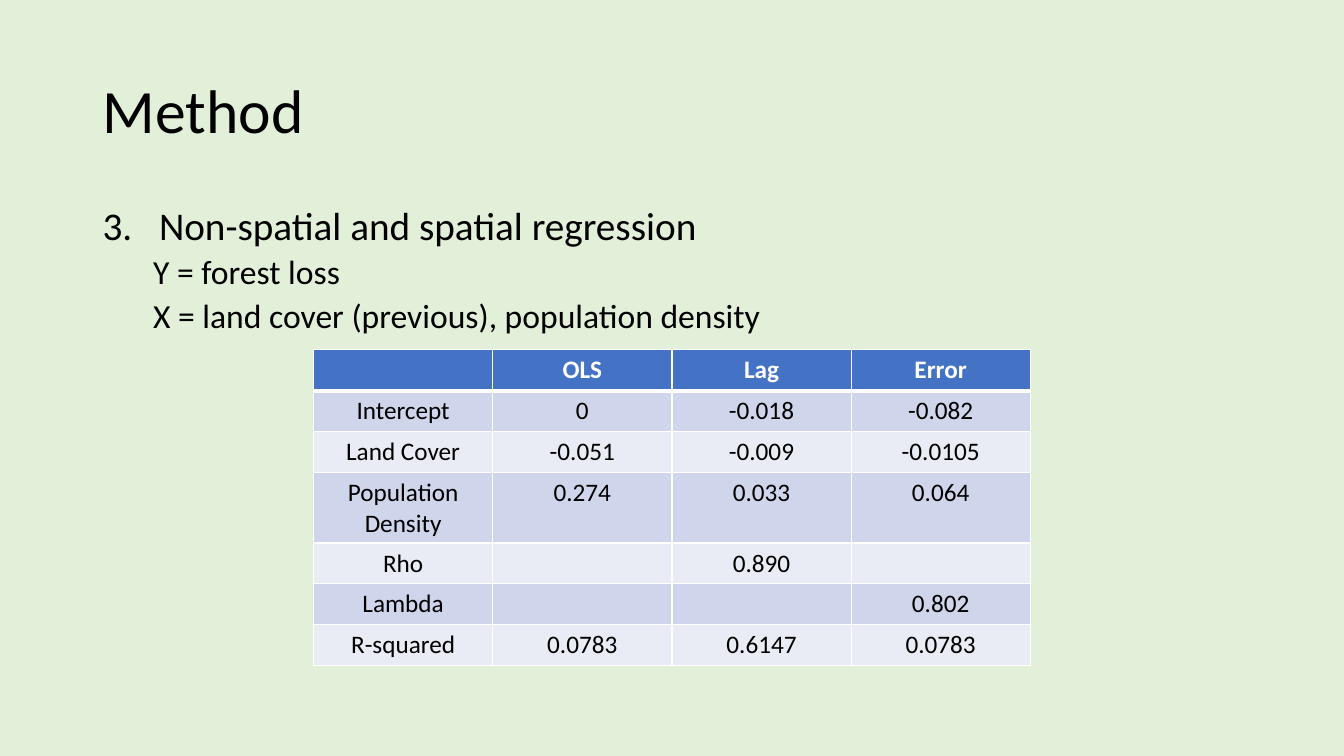
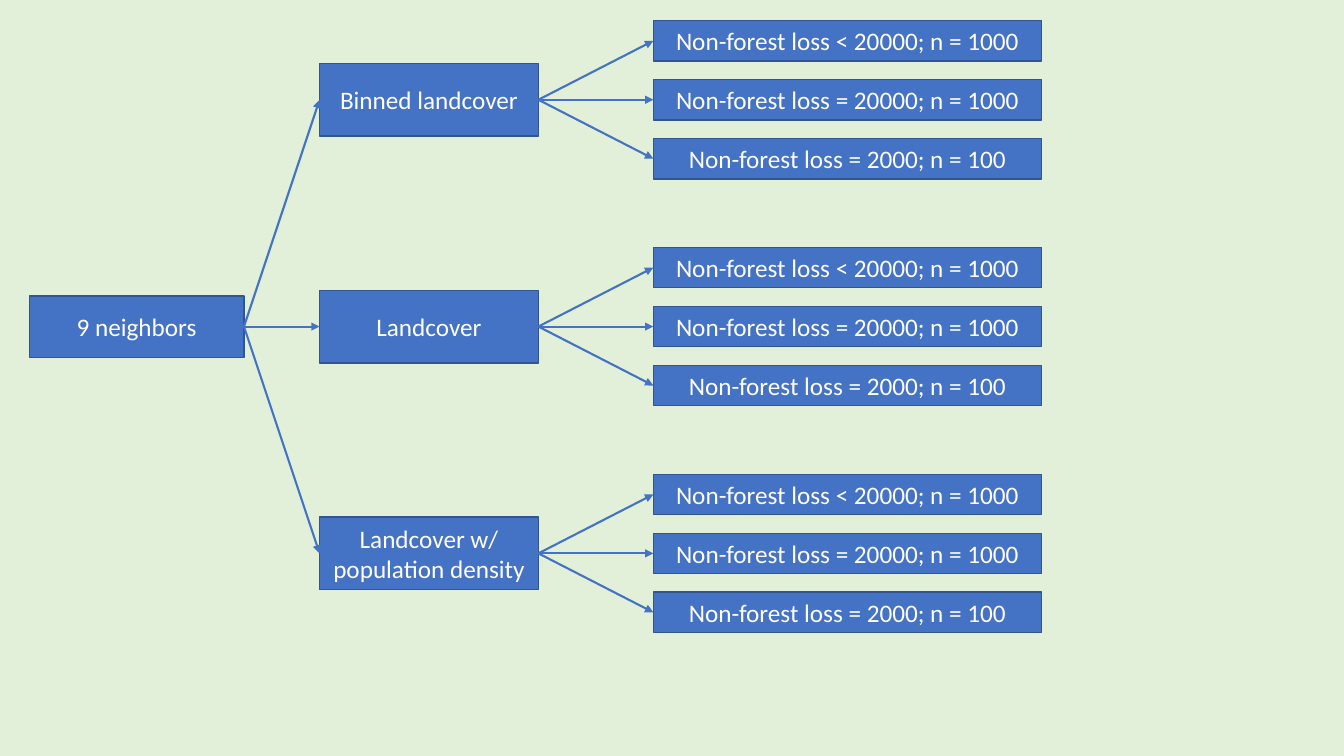
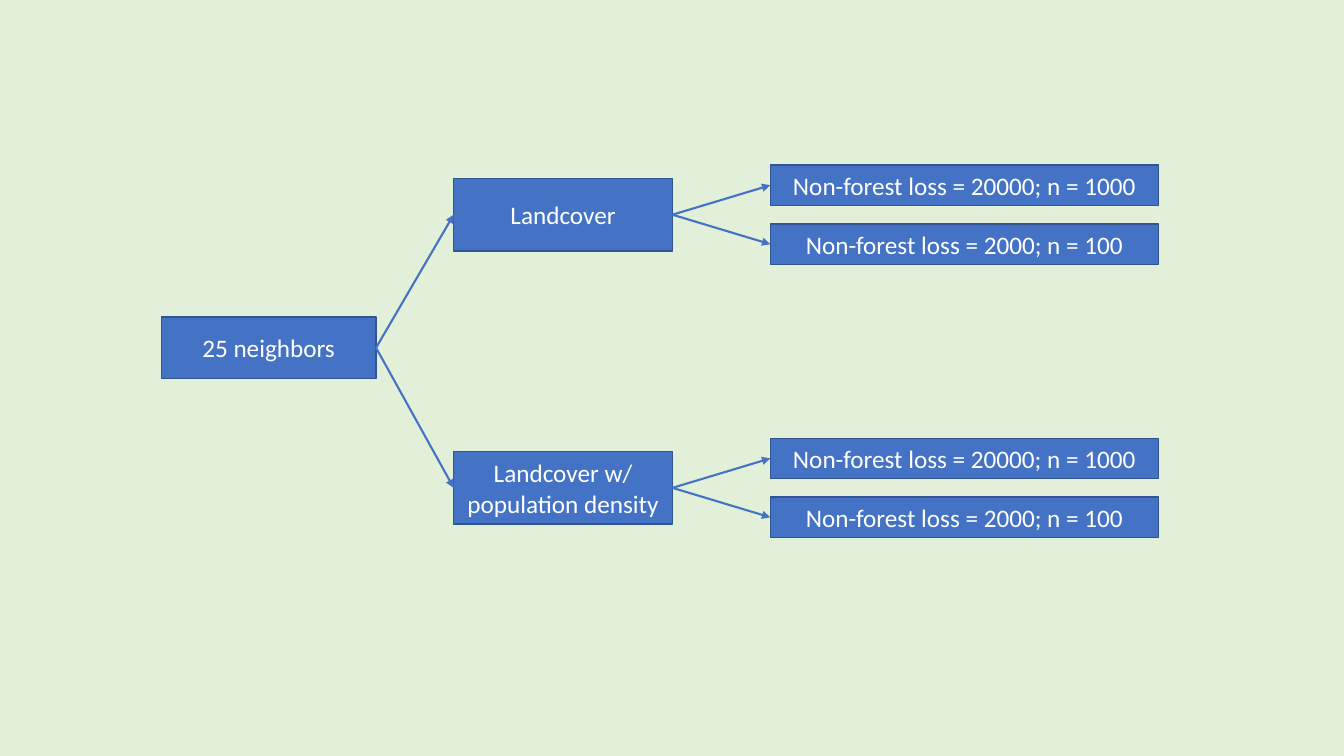
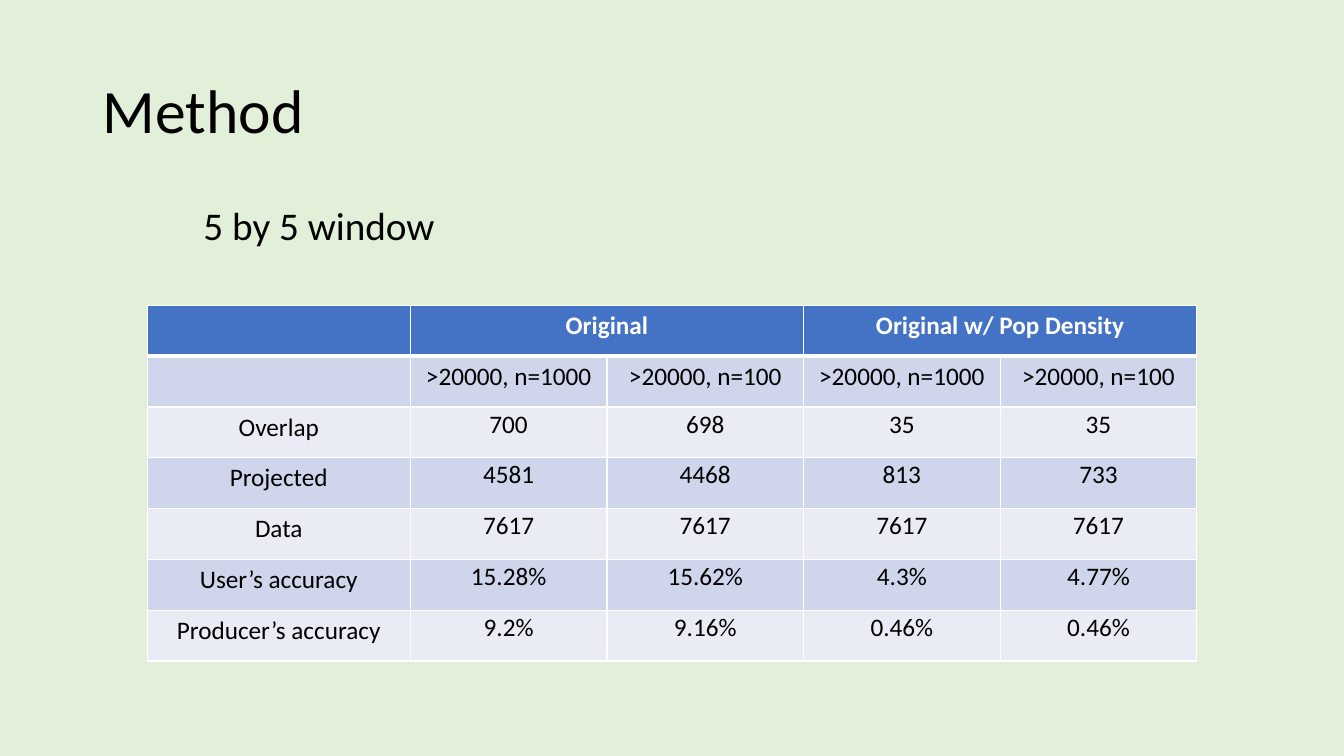
"""Build four method slides: two regression tables and two sampling trees."""
from dataclasses import dataclass

from lxml.etree import SubElement
from pptx import Presentation
from pptx.dml.color import RGBColor
from pptx.enum.shapes import MSO_CONNECTOR, MSO_SHAPE
from pptx.enum.text import MSO_ANCHOR, PP_ALIGN
from pptx.oxml.ns import qn
from pptx.shapes.autoshape import Shape
from pptx.slide import Slide
from pptx.table import Table, _Cell
from pptx.text.text import _Paragraph
from pptx.util import Inches, Pt

FONT = "Calibri"
BACKGROUND = "E2F0D9"
BLUE = "4472C4"
OUTLINE = "325491"
BANDS = ("E9EBF5", "CFD5EA")
WHITE = "FFFFFF"
BLACK = "000000"
RIGHT_SITE, LEFT_SITE = 3, 1
BRANCH_SIZE = (2.17, 0.72)
ROOT_SIZE = (2.13, 0.61)
LEAF_SIZE = (3.85, 0.4)
LEAF_STEP = 0.585


@dataclass
class Line:
    text: str
    size: int = 28
    before: int = 10
    margin: float = 0
    hanging: float = 0
    number: int = 0


@dataclass
class Branch:
    text: str
    middle: float


@dataclass
class Tree:
    root: str
    root_middle: float
    lefts: tuple[float, float, float]
    branches: list[Branch]
    leaves: list[str]


def rgb(color: str) -> RGBColor:
    return RGBColor.from_string(color)


def style(p: _Paragraph, size: int, color: str = BLACK, bold: bool = False) -> None:
    p.font.name = FONT
    p.font.size = Pt(size)
    p.font.bold = bold
    p.font.color.rgb = rgb(color)


def add_text(s: Slide, top: float, height: float, lines: list[Line],
             anchor: MSO_ANCHOR = MSO_ANCHOR.TOP) -> None:
    tf = s.shapes.add_textbox(Inches(0.92), Inches(top), Inches(11.5), Inches(height)).text_frame
    tf.word_wrap = True
    tf.vertical_anchor = anchor
    for i, line in enumerate(lines):
        p = tf.add_paragraph() if i else tf.paragraphs[0]
        p.text = line.text
        p_pr = p._p.get_or_add_pPr()
        p_pr.set("marL", str(Inches(line.margin)))
        p_pr.set("indent", str(-Inches(line.hanging)))
        if line.number:
            SubElement(p_pr, qn("a:buAutoNum"), type="arabicPeriod", startAt=str(line.number))
        p.line_spacing = 0.9
        p.space_before = Pt(line.before)
        style(p, line.size)


def add_method(s: Slide, lines: list[Line]) -> None:
    add_text(s, 0.4, 1.45, [Line("Method", 44, 0)], MSO_ANCHOR.MIDDLE)
    add_text(s, 2, 4.76, lines)


def add_borders(cell: _Cell, row: int) -> None:
    widths = {"L": 1, "R": 1, "T": 3 if row == 1 else 1, "B": 3 if row == 0 else 1}
    for side, width in widths.items():
        ln = SubElement(cell._tc.get_or_add_tcPr(), qn(f"a:ln{side}"), w=str(Pt(width)))
        SubElement(SubElement(ln, qn("a:solidFill")), qn("a:srgbClr"), val=WHITE)


def add_table(s: Slide, left: float, top: float, width: float, height: float,
              rows: list[list[str]]) -> Table:
    table = s.shapes.add_table(len(rows), len(rows[0]), Inches(left), Inches(top),
                               Inches(width), Inches(height)).table
    for i, row in enumerate(rows):
        for j, text in enumerate(row):
            cell = table.cell(i, j)
            add_borders(cell, i)
            cell.fill.solid()
            cell.fill.fore_color.rgb = rgb(BANDS[i % 2] if i else BLUE)
            p = cell.text_frame.paragraphs[0]
            p.text = text
            p.alignment = PP_ALIGN.CENTER
            style(p, 18, BLACK if i else WHITE, i == 0)
    return table


def add_box(s: Slide, left: float, middle: float, size: tuple[float, float], text: str) -> Shape:
    width, height = size
    sp = s.shapes.add_shape(MSO_SHAPE.RECTANGLE, Inches(left), Inches(middle - height / 2),
                            Inches(width), Inches(height))
    sp.shadow.inherit = False
    sp.fill.solid()
    sp.fill.fore_color.rgb = rgb(BLUE)
    sp.line.color.rgb = rgb(OUTLINE)
    sp.line.width = Pt(1)
    tf = sp.text_frame
    tf.word_wrap = True
    tf.vertical_anchor = MSO_ANCHOR.MIDDLE
    p = tf.paragraphs[0]
    p.text = text
    p.alignment = PP_ALIGN.CENTER
    style(p, 18, WHITE)
    return sp


def add_arrow(s: Slide, start: Shape, end: Shape) -> None:
    cxn = s.shapes.add_connector(MSO_CONNECTOR.STRAIGHT, 0, 0, 0, 0)
    cxn.begin_connect(start, RIGHT_SITE)
    cxn.end_connect(end, LEFT_SITE)
    cxn.line.color.rgb = rgb(BLUE)
    cxn.line.width = Pt(1.5)
    SubElement(cxn.line._get_or_add_ln(), qn("a:tailEnd"), type="triangle")
    SubElement(cxn._element.spPr, qn("a:effectLst"))


def add_tree(s: Slide, tree: Tree) -> None:
    root_left, branch_left, leaf_left = tree.lefts
    root = add_box(s, root_left, tree.root_middle, ROOT_SIZE, tree.root)
    for branch in tree.branches:
        branch_box = add_box(s, branch_left, branch.middle, BRANCH_SIZE, branch.text)
        add_arrow(s, root, branch_box)
        for i, text in enumerate(tree.leaves):
            middle = branch.middle + (i - (len(tree.leaves) - 1) / 2) * LEAF_STEP
            add_arrow(s, branch_box, add_box(s, leaf_left, middle, LEAF_SIZE, text))


def add_regression(s: Slide) -> None:
    add_method(s, [
        Line("Non-spatial and spatial regression", margin=0.56, hanging=0.56, number=3),
        Line("Y = forest loss", 24, 5, 0.5),
        Line("X = land cover (previous), population density", 24, 5, 0.5),
    ])
    add_table(s, 3.11, 3.47, 7.11, 2.84, [
        ["", "OLS", "Lag", "Error"],
        ["Intercept", "0", "-0.018", "-0.082"],
        ["Land Cover", "-0.051", "-0.009", "-0.0105"],
        ["Population Density", "0.274", "0.033", "0.064"],
        ["Rho", "", "0.890", ""],
        ["Lambda", "", "", "0.802"],
        ["R-squared", "0.0783", "0.6147", "0.0783"],
    ])


def add_accuracy(s: Slide) -> None:
    add_method(s, [Line("5 by 5 window", margin=1)])
    samples = [">20000, n=1000", ">20000, n=100"]
    rows = [
        ["", "Original", "", "Original w/ Pop Density", ""],
        ["", *samples, *samples],
        ["Overlap", "700", "698", "35", "35"],
        ["Projected", "4581", "4468", "813", "733"],
        ["Data", *["7617"] * 4],
        ["User’s accuracy", "15.28%", "15.62%", "4.3%", "4.77%"],
        ["Producer’s accuracy", "9.2%", "9.16%", "0.46%", "0.46%"],
    ]
    table = add_table(s, 1.46, 3.03, 10.4, 3.53, rows)
    for j, column in enumerate(table.columns):
        column.width = Inches(1.95 if j else 2.61)
    for j in (1, 3):
        table.cell(0, j).merge(table.cell(0, j + 1))
    for i in range(2, len(rows)):
        for j in range(1, len(rows[0])):
            cell = table.cell(i, j)
            cell.margin_left = cell.margin_right = Inches(0.07)
            cell.margin_top = cell.margin_bottom = 0
            cell.text_frame.paragraphs[0].line_spacing = 1.07


def main() -> None:
    prs = Presentation()
    prs.slide_width, prs.slide_height = Inches(13.33), Inches(7.5)
    fill = prs.slide_master.background.fill
    fill.solid()
    fill.fore_color.rgb = rgb(BACKGROUND)
    slides = [prs.slides.add_slide(prs.slide_layouts[6]) for _ in range(4)]
    leaves = ["Non-forest loss < 20000; n = 1000", "Non-forest loss = 20000; n = 1000",
              "Non-forest loss = 2000; n = 100"]
    density = "Landcover w/ population density"
    add_regression(slides[0])
    add_tree(slides[1], Tree(
        "9 neighbors", 3.24, (0.29, 3.17, 6.48),
        [Branch("Binned landcover", 0.99), Branch("Landcover", 3.24), Branch(density, 5.49)],
        leaves))
    add_tree(slides[2], Tree(
        "25 neighbors", 3.45, (1.6, 4.5, 7.64),
        [Branch("Landcover", 2.13), Branch(density, 4.84)], leaves[1:]))
    add_accuracy(slides[3])
    prs.save("out.pptx")


if __name__ == "__main__":
    main()
